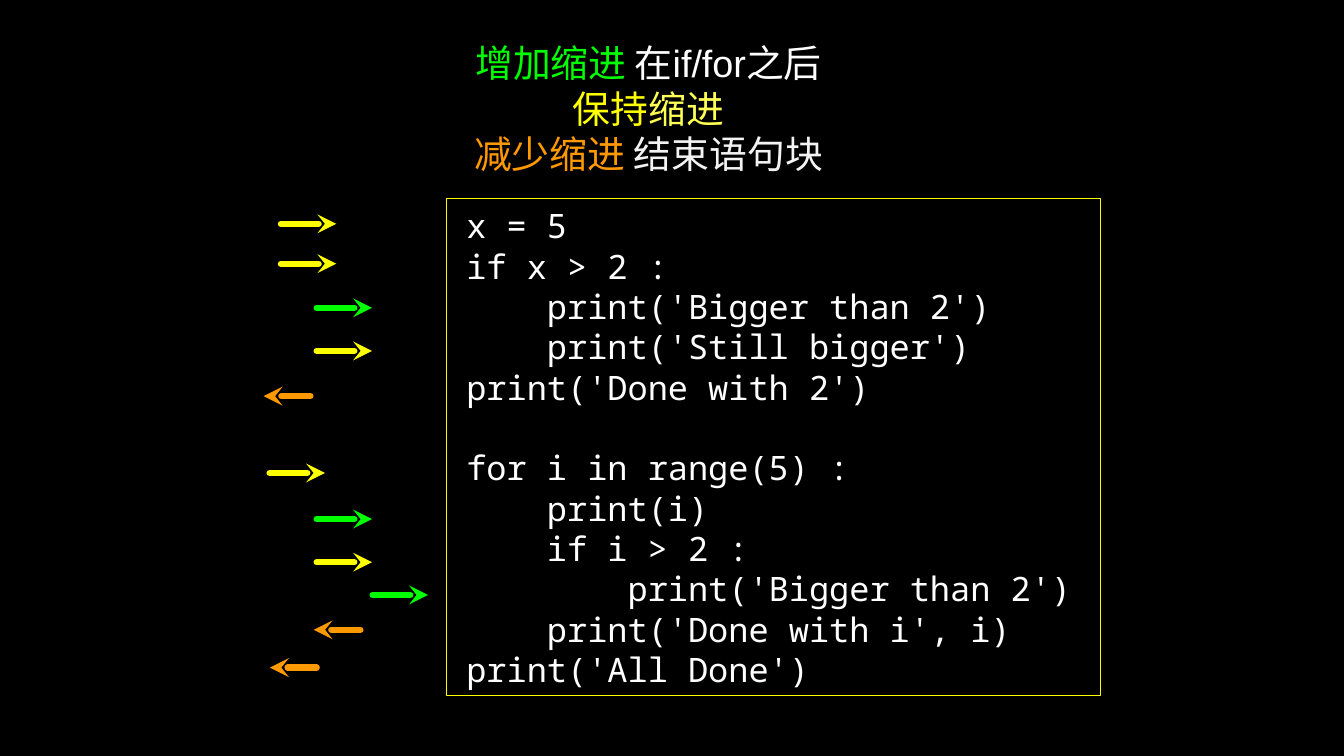
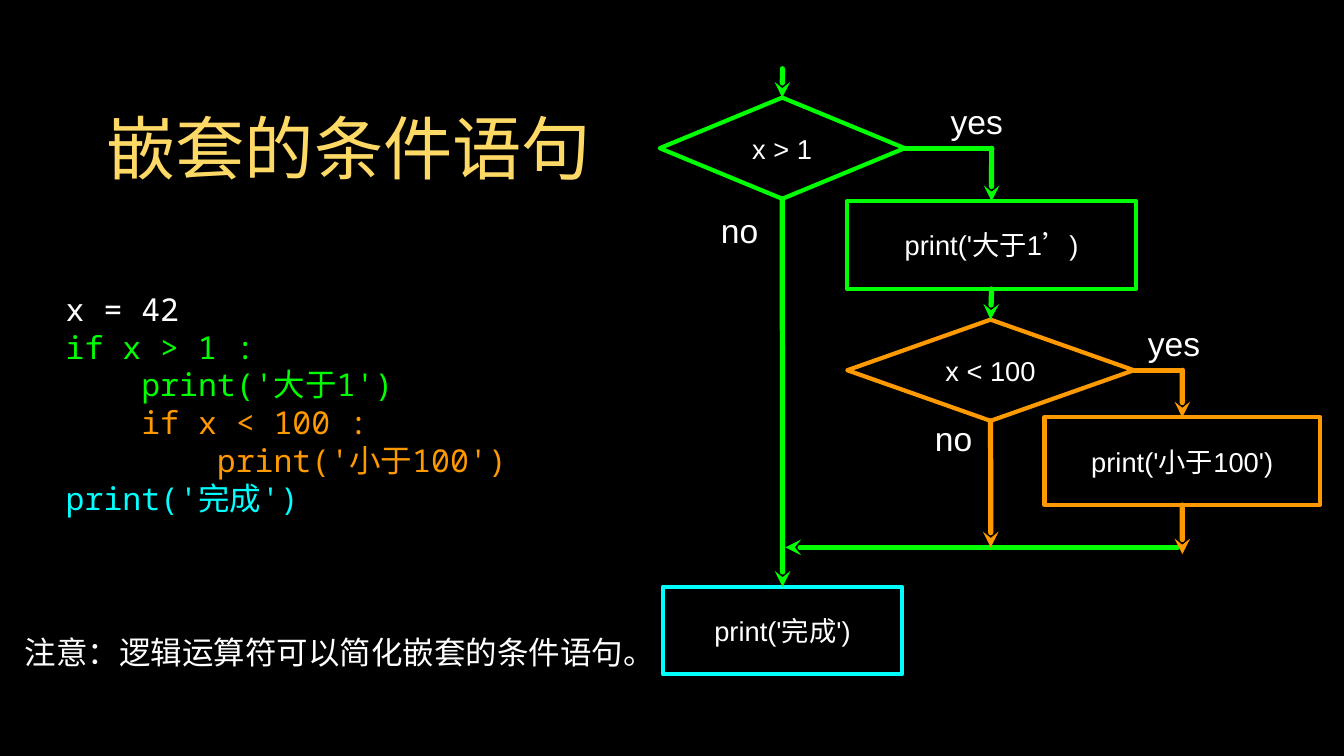
from dataclasses import dataclass
from typing import NamedTuple, Optional, Sequence

from lxml.etree import SubElement
from pptx import Presentation
from pptx.dml.color import RGBColor
from pptx.enum.shapes import MSO_CONNECTOR as Connector, MSO_SHAPE as Preset
from pptx.enum.text import MSO_ANCHOR as Anchor, MSO_AUTO_SIZE as AutoSize, PP_ALIGN as Align
from pptx.oxml.ns import qn
from pptx.util import Cm, Pt

BLACK, WHITE, PALE = "000000", "FFFFFF", "F3F3F3"
GREEN, YELLOW, LEMON = "00FF00", "FFFF00", "FEFF54"
ORANGE, CYAN, GOLD = "FF9900", "00FFFF", "FFD966"
SANS, MONO = "Arial", "Noto Sans Mono"
TOP, BOTTOM, RIGHT = 0, 2, 3
LEADING = 1.2
MONO_WIDTH = 0.6
INDENT_CHARS = 4


class Box(NamedTuple):
    left: float
    top: float
    width: float
    height: float


class Point(NamedTuple):
    x: float
    y: float


class Span(NamedTuple):
    text: str
    color: str = WHITE


@dataclass
class Line:
    spans: Sequence[Span]
    level: int = 0
    gap_before: bool = False


@dataclass
class TextStyle:
    size: float
    font: str = SANS
    align: Align = Align.CENTER
    fixed_leading: bool = False


class IndentMove(NamedTuple):
    color: str
    shift: float


class IndentArrow(NamedTuple):
    move: IndentMove
    tip: Point


class Node(NamedTuple):
    preset: Preset
    box: Box
    text: str
    color: str


class Joint(NamedTuple):
    node: str
    side: int


class Flow(NamedTuple):
    start: Point | Joint
    end: Point | Joint
    color: str
    arrow: bool = True


class Caption(NamedTuple):
    box: Box
    text: str
    size: float = 32


def rgb(color: str) -> RGBColor:
    return RGBColor.from_string(color)


def cm_box(box: Box) -> list[Cm]:
    return [Cm(length) for length in box]


def code_line(text: str, level: int = 0, color: str = WHITE, gap_before: bool = False) -> Line:
    return Line([Span(text, color)], level, gap_before)


def write(shape, lines: Sequence[Line], style: TextStyle, inset: float = 0,
          left_inset: Optional[float] = None) -> None:
    frame = shape.text_frame
    frame.word_wrap = True
    frame.auto_size = AutoSize.NONE
    frame.vertical_anchor = Anchor.MIDDLE
    frame.margin_top = frame.margin_right = frame.margin_bottom = Cm(inset)
    frame.margin_left = Cm(inset if left_inset is None else left_inset)
    for index, line in enumerate(lines):
        paragraph = frame.paragraphs[0] if index == 0 else frame.add_paragraph()
        paragraph.alignment = style.align
        paragraph.font.size = Pt(style.size)
        paragraph.font.name = style.font
        paragraph.font.color.rgb = rgb(line.spans[0].color)
        if style.fixed_leading:
            paragraph.line_spacing = Pt(style.size * LEADING)
        if line.gap_before:
            paragraph.space_before = Pt(style.size * LEADING)
        if line.level:
            indent = Pt(line.level * INDENT_CHARS * MONO_WIDTH * style.size)
            properties = paragraph._p.get_or_add_pPr()
            properties.set("marL", str(int(indent)))
            properties.set("indent", "0")
        for span in line.spans:
            run = paragraph.add_run()
            run.text = span.text
            if len(line.spans) > 1:
                run.font.color.rgb = rgb(span.color)


def place_title(slide, box: Box, lines: Sequence[Line], style: TextStyle, inset: float = 0) -> None:
    title = slide.shapes.title
    title.left, title.top, title.width, title.height = cm_box(box)
    write(title, lines, style, inset)


def add_text(slide, box: Box, lines: Sequence[Line], style: TextStyle) -> None:
    write(slide.shapes.add_textbox(*cm_box(box)), lines, style)


def add_outline(slide, preset: Preset, box: Box, color: str, weight: float):
    outline = slide.shapes.add_shape(preset, *cm_box(box))
    outline.shadow.inherit = False
    outline.fill.background()
    outline.line.color.rgb = rgb(color)
    outline.line.width = Pt(weight)
    return outline


def add_line(slide, start: Point, end: Point, color: str, weight: float, arrow: bool = True):
    line = slide.shapes.add_connector(
        Connector.STRAIGHT, Cm(start.x), Cm(start.y), Cm(end.x), Cm(end.y))
    line.line.color.rgb = rgb(color)
    line.line.width = Pt(weight)
    stroke = line.line._get_or_add_ln()
    stroke.set("cap", "rnd")
    if arrow:
        SubElement(stroke, qn("a:tailEnd"), type="stealth")
    SubElement(line._element.spPr, qn("a:effectLst"))
    return line


def joint_point(joint: Joint) -> Point:
    box = NODES[joint.node].box
    if joint.side == RIGHT:
        return Point(box.left + box.width, box.top + box.height / 2)
    return Point(box.left + box.width / 2,
                 box.top + (box.height if joint.side == BOTTOM else 0))


def add_flow(slide, flow: Flow, drawn: dict) -> None:
    start, end = (joint_point(stop) if isinstance(stop, Joint) else stop
                  for stop in (flow.start, flow.end))
    line = add_line(slide, start, end, flow.color, 5, flow.arrow)
    if isinstance(flow.start, Joint):
        line.begin_connect(drawn[flow.start.node], flow.start.side)
    if isinstance(flow.end, Joint):
        line.end_connect(drawn[flow.end.node], flow.end.side)


KEEP = IndentMove(YELLOW, 1.86)
INCREASE = IndentMove(GREEN, 1.86)
DECREASE = IndentMove(ORANGE, -1.57)

INDENT_RULES = [
    Line([Span("增加缩进 ", GREEN), Span("在if/for之后")]),
    Line([Span("保持", YELLOW), Span("缩进", LEMON)]),
    Line([Span("减少缩进 ", ORANGE), Span("结束语句块", PALE)]),
]
INDENT_CODE = [
    code_line("x = 5"),
    code_line("if x > 2 :"),
    code_line("print('Bigger than 2')", 1),
    code_line("print('Still bigger')", 1),
    code_line("print('Done with 2')"),
    code_line("for i in range(5) :", gap_before=True),
    code_line("print(i)", 1),
    code_line("if i > 2 :", 1),
    code_line("print('Bigger than 2')", 2),
    code_line("print('Done with i', i)", 1),
    code_line("print('All Done')"),
]
INDENT_ARROWS = [
    IndentArrow(KEEP, Point(11.3, 7.52)),
    IndentArrow(KEEP, Point(11.3, 8.86)),
    IndentArrow(INCREASE, Point(12.5, 10.34)),
    IndentArrow(KEEP, Point(12.5, 11.79)),
    IndentArrow(DECREASE, Point(8.86, 13.31)),
    IndentArrow(KEEP, Point(10.92, 15.89)),
    IndentArrow(INCREASE, Point(12.5, 17.44)),
    IndentArrow(KEEP, Point(12.5, 18.89)),
    IndentArrow(INCREASE, Point(14.38, 19.99)),
    IndentArrow(DECREASE, Point(10.54, 21.16)),
    IndentArrow(DECREASE, Point(9.07, 22.43)),
]

NESTED_CODE = [
    code_line("x = 42"),
    code_line("if x > 1 :", 0, GREEN),
    code_line("print('大于1')", 1, GREEN),
    code_line("if x < 100 :", 1, ORANGE),
    code_line("print('小于100')", 2, ORANGE),
    code_line("print('完成')", 0, CYAN),
]
NODES = {
    "over_1": Node(Preset.DIAMOND, Box(22.17, 3.28, 8.23, 3.4), "x > 1", GREEN),
    "say_over": Node(Preset.RECTANGLE, Box(28.47, 6.76, 9.7, 2.95), "print('大于1’)", GREEN),
    "under_100": Node(Preset.DIAMOND, Box(28.47, 10.74, 9.63, 3.4), "x < 100", ORANGE),
    "say_under": Node(Preset.RECTANGLE, Box(35.1, 14.02, 9.25, 2.95), "print('小于100')", ORANGE),
    "done": Node(Preset.RECTANGLE, Box(22.28, 19.71, 8.03, 2.95), "print('完成')", CYAN),
}
OUTER_CORNER = Point(33.32, 4.98)
INNER_CORNER = Point(39.73, 12.44)
MERGE_Y = 18.39
FLOWS = [
    Flow(Point(26.29, 2.31), Joint("over_1", TOP), GREEN),
    Flow(Joint("over_1", RIGHT), OUTER_CORNER, GREEN, arrow=False),
    Flow(OUTER_CORNER, Joint("say_over", TOP), GREEN),
    Flow(Joint("over_1", BOTTOM), Joint("done", TOP), GREEN),
    Flow(Joint("under_100", RIGHT), INNER_CORNER, ORANGE, arrow=False),
    Flow(INNER_CORNER, Joint("say_under", TOP), ORANGE),
    Flow(Joint("say_over", BOTTOM), Joint("under_100", TOP), GREEN),
    Flow(Point(39.57, MERGE_Y), Point(26.39, MERGE_Y), GREEN),
    Flow(Joint("under_100", BOTTOM), Point(33.29, MERGE_Y), ORANGE),
    Flow(Joint("say_under", BOTTOM), Point(39.73, 18.62), ORANGE),
]
CAPTIONS = [
    Caption(Box(31.55, 3.43, 2.54, 1.27), "yes"),
    Caption(Box(38.18, 10.9, 2.54, 1.27), "yes"),
    Caption(Box(31.19, 14.1, 1.7, 1.27), "no"),
    Caption(Box(24, 7.09, 1.7, 1.27), "no"),
    Caption(Box(0.03, 21.18, 22.78, 1.47), "注意：逻辑运算符可以简化嵌套的条件语句。", 30),
]


def build_indentation(slide) -> None:
    place_title(slide, Box(11.81, 0.64, 19.96, 5.97), INDENT_RULES,
                TextStyle(36, fixed_leading=True))
    code = add_outline(slide, Preset.RECTANGLE, Box(14.99, 6.68, 22, 16.69), YELLOW, 1)
    write(code, INDENT_CODE, TextStyle(32, MONO, Align.LEFT, True), left_inset=0.68)
    for move, tip in INDENT_ARROWS:
        add_line(slide, Point(tip.x - move.shift, tip.y), tip, move.color, 6)


def build_nested(slide) -> None:
    place_title(slide, Box(3.25, 3.2, 16.94, 3.45),
                [Line([Span("嵌套的条件语句", GOLD)])], TextStyle(66), 0.1)
    add_text(slide, Box(2.21, 9.42, 19.3, 8.26), NESTED_CODE,
             TextStyle(30, MONO, Align.LEFT, True))
    drawn = {}
    for key, node in NODES.items():
        drawn[key] = add_outline(slide, node.preset, node.box, node.color, 4)
        write(drawn[key], [Line([Span(node.text)])], TextStyle(26))
    for flow in FLOWS:
        add_flow(slide, flow, drawn)
    for caption in CAPTIONS:
        add_text(slide, caption.box, [Line([Span(caption.text)])], TextStyle(caption.size))


def main() -> None:
    deck = Presentation()
    deck.slide_width, deck.slide_height = Cm(45.16), Cm(25.4)
    backdrop = deck.slide_master.background.fill
    backdrop.solid()
    backdrop.fore_color.rgb = rgb(BLACK)
    for build in (build_indentation, build_nested):
        build(deck.slides.add_slide(deck.slide_layouts[5]))
    deck.save("out.pptx")


if __name__ == "__main__":
    main()
